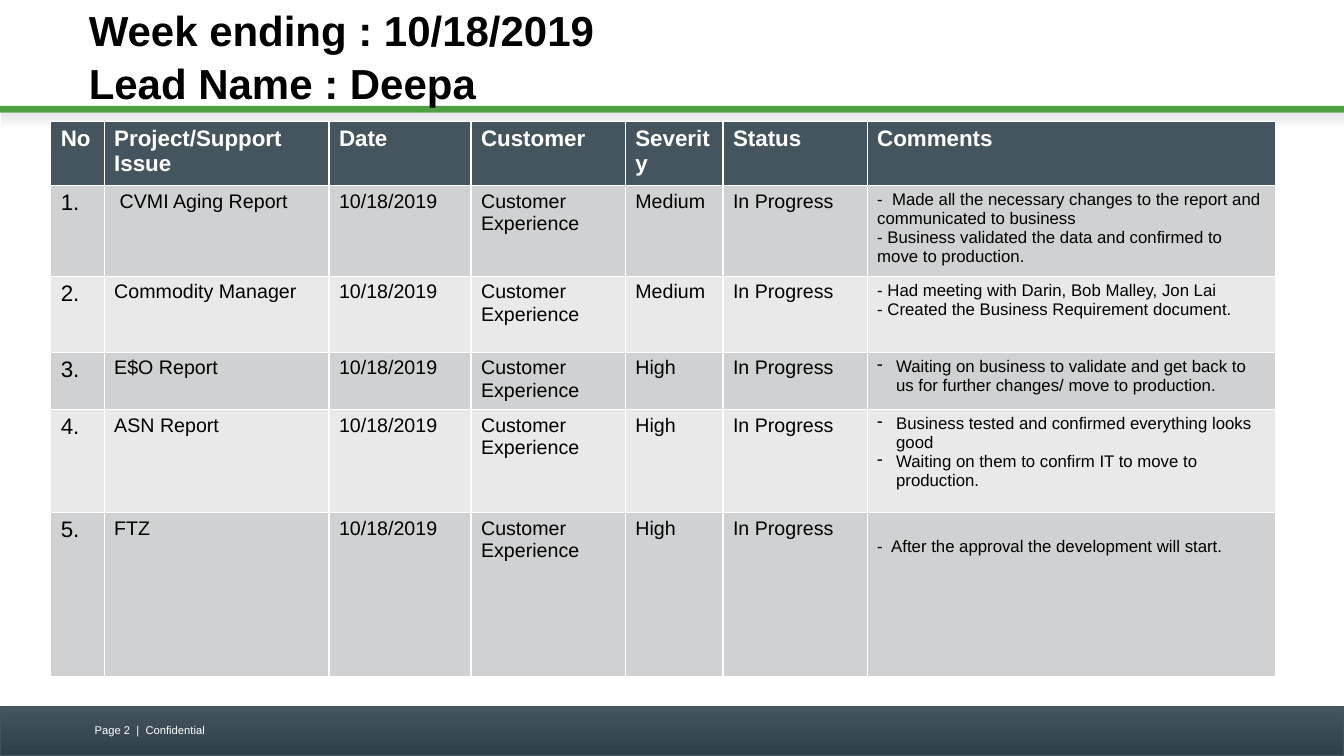
from dataclasses import dataclass

from lxml import etree
from pptx import Presentation
from pptx.dml.color import RGBColor
from pptx.enum.shapes import MSO_SHAPE
from pptx.enum.text import MSO_ANCHOR, MSO_AUTO_SIZE, PP_ALIGN
from pptx.oxml.ns import qn
from pptx.slide import Slide
from pptx.table import _Cell
from pptx.text.text import _Paragraph
from pptx.util import Pt

RECT = MSO_SHAPE.RECTANGLE
MIDDLE = MSO_ANCHOR.MIDDLE
LEFT = PP_ALIGN.LEFT
FIXED = MSO_AUTO_SIZE.NONE

FACE = "Arial"
HUES = {
    "white": "FFFFFF",
    "black": "000000",
    "slate": "455560",
    "night": "30404B",
    "edge": "43535F",
    "mist": "E4E5E6",
    "green": "4F9F43",
    "odd": "CFD1D2",
    "even": "E9E9EA",
}


@dataclass
class Band:
    left: float
    top: float
    width: float
    height: float
    hues: tuple[str, ...]
    line: str = ""


@dataclass
class Issue:
    name: str
    level: str
    notes: list[str]
    height: float
    listed: bool = False
    drop: float = 3.6


BANDS = [
    Band(0, 504.7, 960, 35.3, ("night", "slate"), "edge"),
    Band(0.5, 80.6, 960, 11.5, ("white", "mist")),
    Band(0, 75.6, 960, 5, ("green",)),
]
HEADS = ["No", "Project/Support Issue", "Date", "Customer", "Severity", "Status", "Comments"]
WIDTHS = [38.2, 160.6, 101.5, 110.2, 69.8, 103, 291.6]
HEAD_HEIGHT = 45
DATE = "10/18/2019"
CLIENT = "Customer Experience"
STATUS = "In Progress"
SIZES = [16, 14, 14, 14, 14, 14, 12]
ISSUES = [
    Issue(" CVMI Aging Report", "Medium", [
        "-  Made all the necessary changes to the report and communicated to business",
        "- Business validated the data and confirmed to move to production.",
    ], 61),
    Issue("Commodity Manager", "Medium", [
        "- Had meeting with Darin, Bob Malley, Jon Lai",
        "- Created the Business Requirement document.",
    ], 54.3),
    Issue("E$O Report", "High", [
        "Waiting on business to validate and get back to us for further changes/ move to production.",
    ], 38.9, listed=True),
    Issue("ASN Report", "High", [
        "Business tested and confirmed everything looks good",
        "Waiting on them to confirm IT to move to production.",
    ], 73.9, listed=True),
    Issue("FTZ", "High", ["-  After the approval the development will start."], 117.2, drop=17.4),
]


def tint(name: str) -> RGBColor:
    return RGBColor.from_string(HUES[name])


def style(para: _Paragraph, size: float, hue: str, bold: bool = False) -> None:
    para.alignment = LEFT
    para.font.name = FACE
    para.font.size = Pt(size)
    para.font.bold = bold
    para.font.color.rgb = tint(hue)


def dash(para: _Paragraph) -> None:
    props = para._p.get_or_add_pPr()
    props.set("marL", str(Pt(13.5)))
    props.set("indent", str(Pt(-13.5)))
    mark = etree.Element(qn("a:buChar"), char="-")
    props.insert(0, mark)


def draw_band(slide: Slide, band: Band) -> None:
    shape = slide.shapes.add_shape(
        RECT, Pt(band.left), Pt(band.top), Pt(band.width), Pt(band.height))
    shape.shadow.inherit = False
    if len(band.hues) > 1:
        shape.fill.gradient()
        shape.fill.gradient_angle = 90
        for stop, hue in zip(shape.fill.gradient_stops, band.hues):
            stop.color.rgb = tint(hue)
    else:
        shape.fill.solid()
        shape.fill.fore_color.rgb = tint(band.hues[0])
    if band.line:
        shape.line.color.rgb = tint(band.line)
        shape.line.width = Pt(0.75)
    else:
        shape.line.fill.background()


def draw_title(slide: Slide) -> None:
    title = slide.shapes.title
    title.left, title.top, title.width, title.height = Pt(63.4), Pt(10), Pt(816), Pt(58.3)
    title.fill.solid()
    title.fill.fore_color.rgb = tint("white")
    frame = title.text_frame
    frame.text = "Week ending : 10/18/2019\vLead Name : Deepa"
    frame.auto_size = FIXED
    frame.word_wrap = True
    frame.vertical_anchor = MIDDLE
    frame.margin_left = frame.margin_right = 0
    para = frame.paragraphs[0]
    style(para, 30, "black", True)
    para.line_spacing = 1.05
    slide.shapes[-1].element.addnext(title.element)


def draw_footer(slide: Slide) -> None:
    box = slide.shapes.add_textbox(Pt(60.5), Pt(513.4), Pt(224), Pt(18.7))
    box.text_frame.word_wrap = True
    box.text_frame.text = "Page 2  |  Confidential"
    style(box.text_frame.paragraphs[0], 8, "white")


def fill_cell(cell: _Cell, lines: list[str], size: float, back: str,
              hue: str = "black", bold: bool = False) -> None:
    cell.fill.solid()
    cell.fill.fore_color.rgb = tint(back)
    cell.text = "\n".join(lines)
    for para in cell.text_frame.paragraphs:
        style(para, size, hue, bold)


def draw_table(slide: Slide) -> None:
    heights = [HEAD_HEIGHT] + [issue.height for issue in ISSUES]
    table = slide.shapes.add_table(
        len(heights), len(HEADS), Pt(36.2), Pt(86.8), Pt(sum(WIDTHS)), Pt(sum(heights))).table
    table.horz_banding = False
    for col, width in zip(table.columns, WIDTHS):
        col.width = Pt(width)
    for row, height in zip(table.rows, heights):
        row.height = Pt(height)
    for cell, head in zip(table.rows[0].cells, HEADS):
        fill_cell(cell, [head], 16, "slate", "white", True)
    for num, issue in enumerate(ISSUES, 1):
        back = "odd" if num % 2 else "even"
        texts = [[f"{num}."], [issue.name], [DATE], [CLIENT], [issue.level], [STATUS], issue.notes]
        for col, (lines, size) in enumerate(zip(texts, SIZES)):
            fill_cell(table.cell(num, col), lines, size, back)
        notes = table.cell(num, len(HEADS) - 1)
        notes.margin_top = Pt(issue.drop)
        if issue.listed:
            for para in notes.text_frame.paragraphs:
                dash(para)


def main() -> None:
    deck = Presentation()
    deck.slide_width, deck.slide_height = Pt(960), Pt(540)
    slide = deck.slides.add_slide(deck.slide_layouts[5])
    for band in BANDS:
        draw_band(slide, band)
    draw_title(slide)
    draw_footer(slide)
    draw_table(slide)
    deck.save("out.pptx")


if __name__ == "__main__":
    main()
